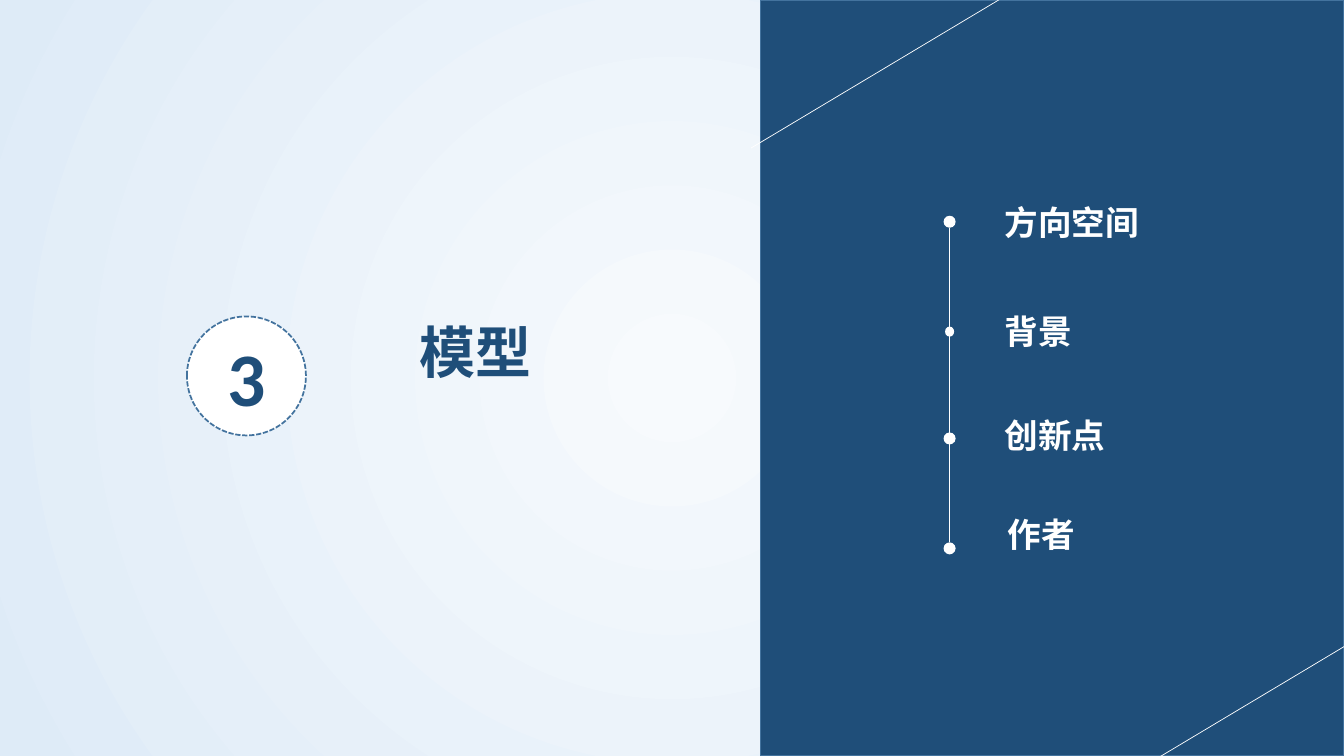
from lxml import etree
from pptx import Presentation, util as u
from pptx.dml import color
from pptx.enum import dml, shapes, text
from pptx.oxml import ns

HUES = {"navy": "1F4E79", "edge": "43739E", "white": "FFFFFF",
        "pale": "F7FAFD", "sky": "DEEBF7"}
SANS = "Noto Sans CJK SC"


class Deck:
    """Holds the style and the current slide."""

    def __init__(self):
        self.prs = Presentation()
        self.prs.slide_width, self.prs.slide_height = u.Pt(960), u.Pt(540)
        self.slide = self.prs.slides.add_slide(self.prs.slide_layouts[6])

    def hue(self, name):
        return color.RGBColor.from_string(HUES[name])

    def glow(self, inner, outer):
        fill = self.slide.background.fill
        fill.gradient()
        for stop, name in zip(fill.gradient_stops, (inner, outer)):
            stop.color.rgb = self.hue(name)
        lin = next(self.slide.element.iter(ns.qn("a:lin")))
        ring = etree.Element(ns.qn("a:path"), path="circle")
        sides = dict.fromkeys("ltrb", "50000")
        etree.SubElement(ring, ns.qn("a:fillToRect"), **sides)
        lin.getparent().replace(lin, ring)

    def shape(self, kind, x, y, w, h, fill, line=None, width=1, dash=None):
        item = self.slide.shapes.add_shape(kind, u.Pt(x), u.Pt(y), u.Pt(w), u.Pt(h))
        item.shadow.inherit = False
        item.fill.solid()
        item.fill.fore_color.rgb = self.hue(fill)
        if line:
            item.line.color.rgb = self.hue(line)
            item.line.width = u.Pt(width)
            item.line.dash_style = dash
        else:
            item.line.fill.background()
        return item

    def dot(self, x, y, w, h):
        self.shape(shapes.MSO_SHAPE.OVAL, x - w / 2, y - h / 2, w, h, "white")

    def line(self, x, y, x2, y2, width):
        item = self.slide.shapes.add_connector(
            shapes.MSO_CONNECTOR.STRAIGHT, u.Pt(x), u.Pt(y), u.Pt(x2), u.Pt(y2))
        item.line.color.rgb = self.hue("white")
        item.line.width = u.Pt(width)
        etree.SubElement(item.element.spPr, ns.qn("a:effectLst"))

    def letter(self, item, words, size, name, face=SANS, align=text.PP_ALIGN.LEFT):
        item.text_frame.text = words
        para = item.text_frame.paragraphs[0]
        para.alignment = align
        font = para.runs[0].font
        font.name, font.size, font.bold = face, u.Pt(size), True
        font.color.rgb = self.hue(name)
        latin = next(item.element.iter(ns.qn("a:latin")))
        latin.addnext(etree.Element(ns.qn("a:ea"), typeface=face))

    def label(self, x, y, w, h, words, size, name, align=text.PP_ALIGN.LEFT):
        item = self.slide.shapes.add_textbox(u.Pt(x), u.Pt(y), u.Pt(w), u.Pt(h))
        item.text_frame.word_wrap = True
        item.text_frame.auto_size = text.MSO_AUTO_SIZE.SHAPE_TO_FIT_TEXT
        self.letter(item, words, size, name, align=align)


def main():
    deck = Deck()
    mid = text.PP_ALIGN.CENTER
    deck.glow("pale", "sky")

    badge = deck.shape(shapes.MSO_SHAPE.OVAL, 133.5, 226, 85, 85, "white",
                       "edge", 1.25, dml.MSO_LINE.SQUARE_DOT)
    badge.text_frame.vertical_anchor = text.MSO_ANCHOR.MIDDLE
    deck.letter(badge, "3", 54, "navy", "Calibri", mid)
    deck.label(226.8, 223.2, 225.4, 55.4, "模型", 40, "navy", mid)

    deck.shape(shapes.MSO_SHAPE.RECTANGLE, 543.4, 0, 416.6, 540, "navy", "edge")
    for x, y in ((536.4, 105.8), (797, 559.4)):
        deck.line(x + 209.5, y - 125.3, x, y, 0.5)

    axis = 678.3
    for top in (162.7, 239.8, 316.1):
        deck.line(axis, top, axis, top + 71.3, 1)
    topics = (("方向空间", 710.6, 140.4, 158.4, 8.6, 8.6),
              ("背景", 710.6, 218.9, 236.9, 6.5, 7.2),
              ("创新点", 710.6, 293, 313.2, 8.6, 8.6),
              ("作者", 712.8, 363.6, 391.7, 8.6, 8.6))
    for words, x, y, spot, w, h in topics:
        deck.dot(axis, spot, w, h)
        deck.label(x, y, 141, 36, words, 24, "white")

    deck.prs.save("out.pptx")


if __name__ == "__main__":
    main()
